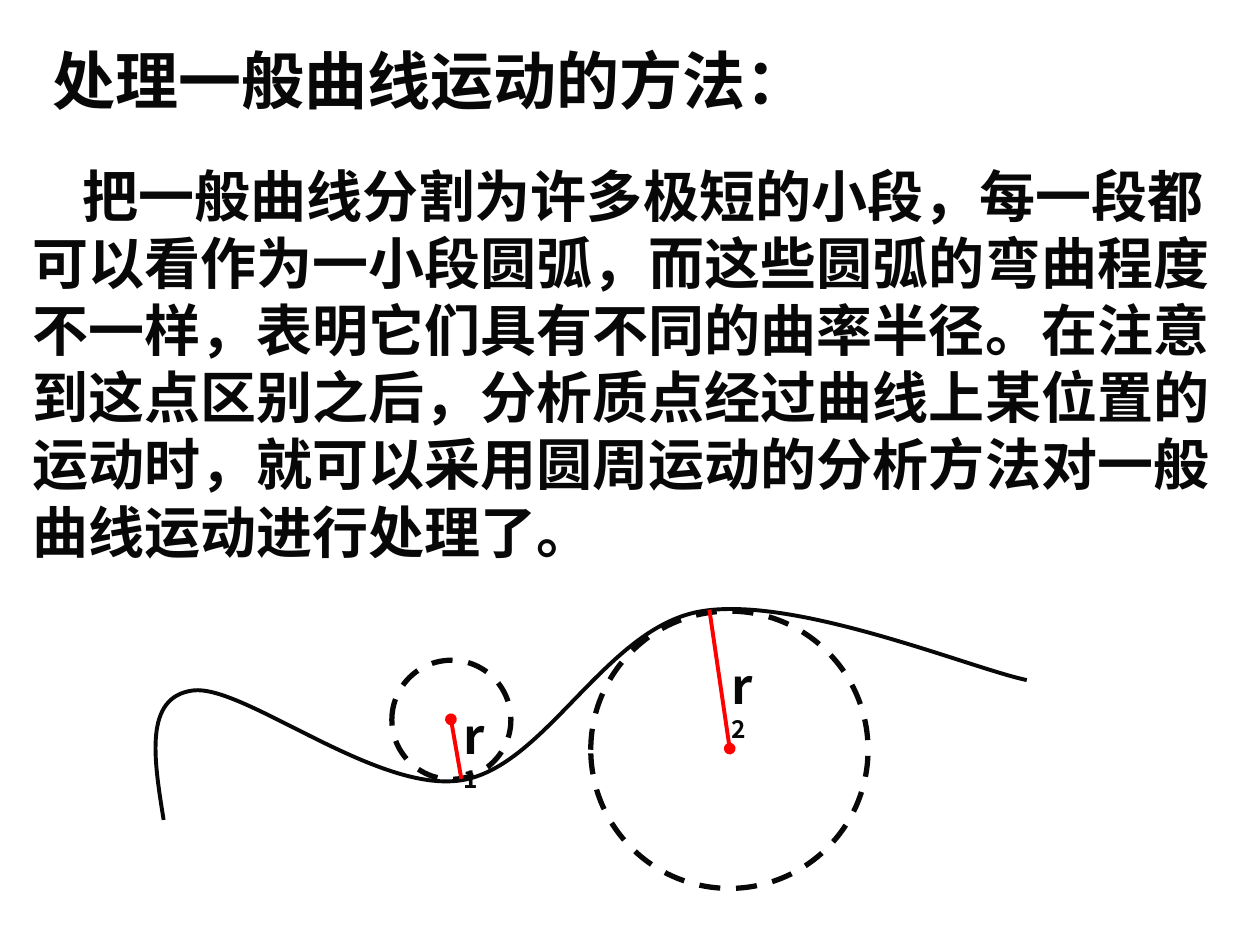
from lxml import etree
from pptx import Presentation
from pptx.dml.color import RGBColor
from pptx.enum.dml import MSO_LINE
from pptx.enum.shapes import MSO_CONNECTOR, MSO_SHAPE
from pptx.enum.text import MSO_ANCHOR, MSO_AUTO_SIZE
from pptx.oxml.ns import qn
from pptx.util import Cm, Pt

OVAL = MSO_SHAPE.OVAL
STRAIGHT = MSO_CONNECTOR.STRAIGHT
DASH = MSO_LINE.DASH
TOP, MIDDLE = MSO_ANCHOR.TOP, MSO_ANCHOR.MIDDLE
GROW = MSO_AUTO_SIZE.SHAPE_TO_FIT_TEXT
FONT = "Noto Sans CJK SC"
INK, RED = "080808", "FF0000"


def color(code):
    return RGBColor.from_string(code)


def add_text(shapes, place, runs, anchor=TOP, indent=0):
    box = shapes.add_textbox(*[Cm(v) for v in place])
    frame = box.text_frame
    frame.word_wrap = True
    frame.auto_size = GROW
    frame.vertical_anchor = anchor
    para = frame.paragraphs[0]
    if indent:
        para._p.get_or_add_pPr().set("indent", str(Cm(indent)))
    for text, size in runs:
        run = para.add_run()
        run.text = text
        font = run.font
        font.size, font.bold, font.name = Pt(size), True, FONT
        font.color.rgb = color(INK)
        etree.SubElement(run._r.rPr, qn("a:ea"), typeface=FONT)


deck = Presentation()
deck.slide_width, deck.slide_height = Cm(25.4), Cm(19.05)
slide = deck.slides.add_slide(deck.slide_layouts[6])
shapes = slide.shapes

# Body text
body = (
    "把一般曲线分割为许多极短的小段，每一段都可以看作为一小段圆弧，"
    "而这些圆弧的弯曲程度不一样，表明它们具有不同的曲率半径。"
    "在注意到这点区别之后，分析质点经过曲线上某位置的运动时，"
    "就可以采用圆周运动的分析方法对一般曲线运动进行处理了。"
)
add_text(shapes, (0.41, 3.12, 24.51, 8.38), [(body, 32)], MIDDLE, 1.01)

# Track: a start point, then three points for each Bezier piece
track = [
    (3.3, 16.53),
    (3.1, 15.29), (2.9, 14.05), (3.89, 13.92),
    (4.9, 13.79), (7.59, 16), (9.3, 15.73),
    (11, 15.46), (12.19, 12.68), (14.1, 12.33),
    (16, 11.98), (19.61, 13.49), (20.7, 13.71),
]
dots = [(round(x * 100), round(y * 100)) for x, y in track]
pen = shapes.build_freeform(*dots[0], scale=Cm(0.01))
pen.add_line_segments(dots[1:], close=False)
curve = pen.convert_to_shape()
curve.shadow.inherit = False
curve.fill.background()
curve.line.color.rgb = color(INK)
curve.line.width = Pt(2.25)

# Turn each three straight pieces into one Bezier piece
steps = list(curve._element.iter(qn("a:lnTo")))
for i in range(0, len(steps), 3):
    bend = etree.Element(qn("a:cubicBezTo"))
    steps[i].addprevious(bend)
    for step in steps[i:i + 3]:
        bend.append(step[0])
        step.getparent().remove(step)

# Dashed circles: left, top, size
for x, y, size in [(11.91, 12.32, 5.59), (7.9, 13.31, 2.4)]:
    ring = shapes.add_shape(OVAL, Cm(x), Cm(y), Cm(size), Cm(size))
    ring.shadow.inherit = False
    ring.fill.background()
    ring.line.color.rgb = color(INK)
    ring.line.width = Pt(3)
    ring.line.dash_style = DASH

# Radii with their labels: line ends, label corner, index
radii = [
    ((9.09, 14.5, 9.3, 15.7), (9.09, 14.1), "1"),
    ((14.71, 15.09, 14.3, 12.29), (14.5, 13.08), "2"),
]
for ends, spot, index in radii:
    group = shapes.add_group_shape().shapes
    line = group.add_connector(STRAIGHT, *[Cm(v) for v in ends])
    line.line.color.rgb = color(RED)
    line.line.width = Pt(2.25)
    etree.SubElement(line.line._get_or_add_ln(), qn("a:headEnd"), type="oval")
    etree.SubElement(line._element.spPr, qn("a:effectLst"))
    add_text(group, (*spot, 1.19, 2.03), [("r", 28), (index, 14)])

# Title
add_text(shapes, (0.23, 0.71, 17.65, 1.78),
         [("处理一般曲线运动的方法：", 36)], indent=0.57)

deck.save("out.pptx")
